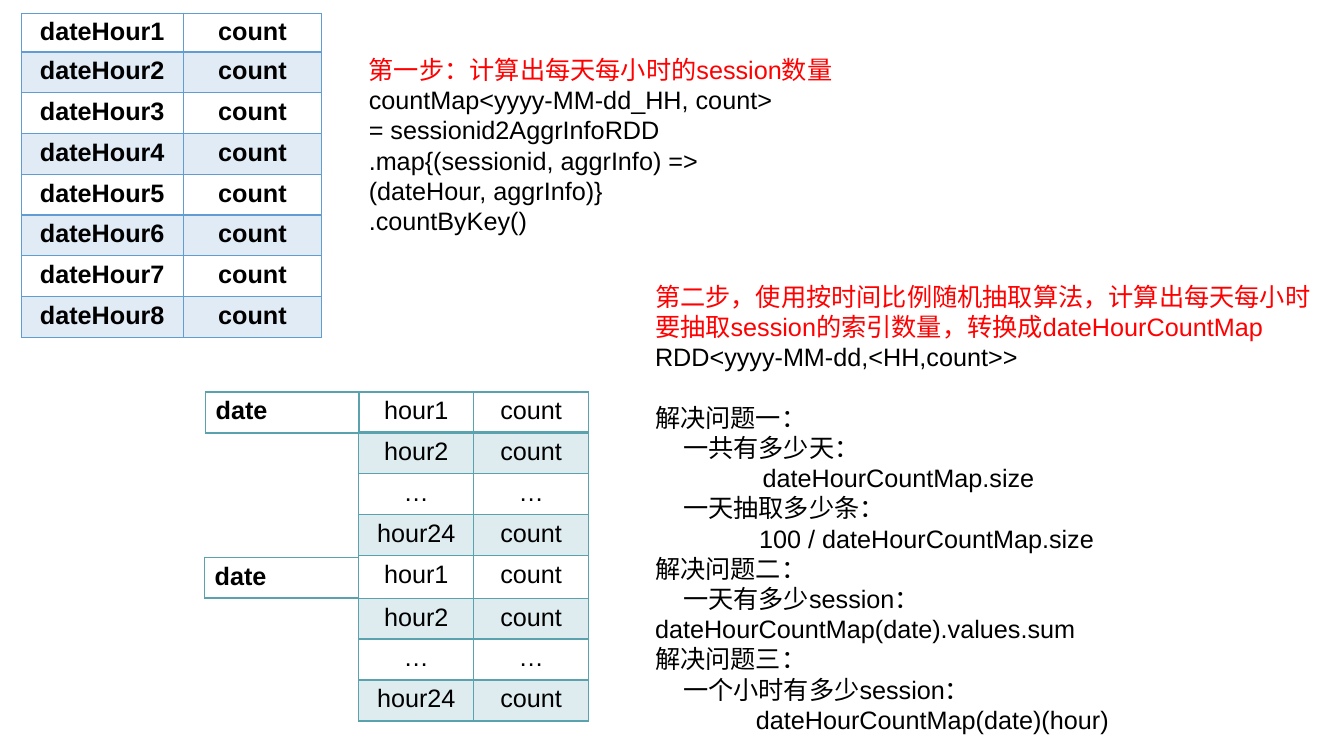
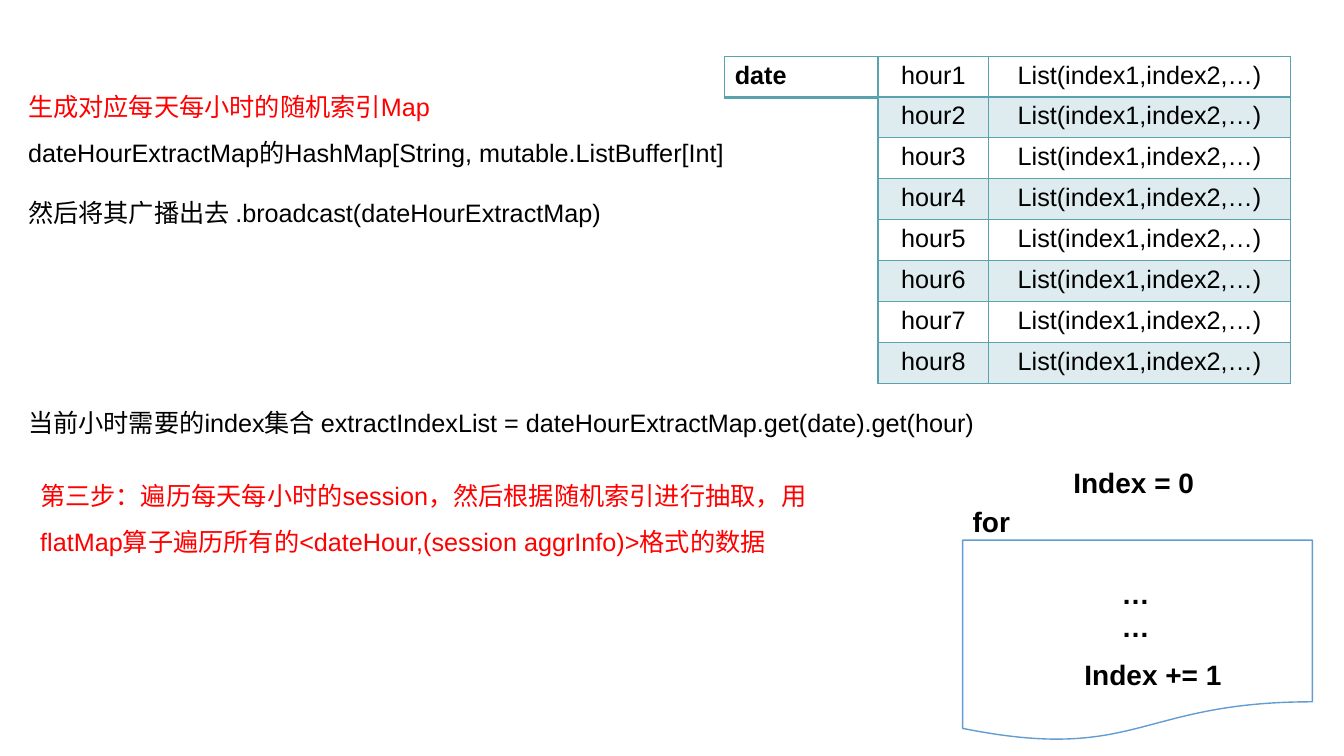
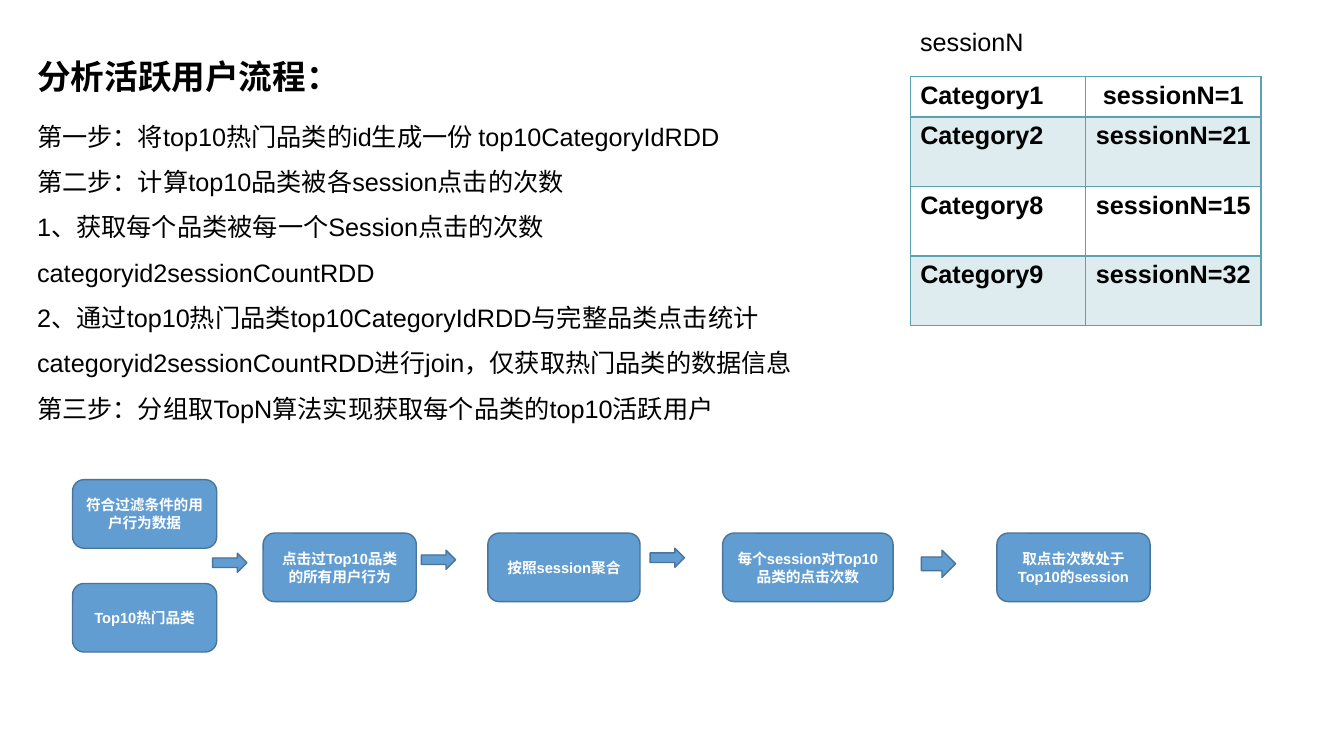
from dataclasses import dataclass

from lxml.etree import SubElement
from pptx import Presentation
from pptx.dml.color import RGBColor
from pptx.enum.shapes import MSO_SHAPE as Preset
from pptx.enum.text import MSO_ANCHOR as Anchor, MSO_AUTO_SIZE as AutoSize, PP_ALIGN as Align
from pptx.oxml.ns import qn
from pptx.util import Emu, Inches, Pt

COLUMNS, ROWS = 80, 45
TITLE_ONLY, BLANK = 5, 6


@dataclass(frozen=True)
class Theme:
    font: str = "Arial"
    ink: str = "000000"
    paper: str = "FFFFFF"
    accent: str = "FF0000"
    blue: str = "629DD1"
    blue_tint: str = "E0EBF6"
    blue_edge: str = "49749B"
    teal: str = "5AA2AE"
    teal_tint: str = "DEECEF"
    title: float = 24
    code: float = 20
    body: float = 18
    label: float = 10.5
    thin: float = 1
    heavy: float = 2
    blank_line: float = 21.5


THEME = Theme()
RED = {"color": THEME.accent}
WIDE = {"line_spacing": 1.5}
GAP = {"space_before": Pt(THEME.blank_line)}


class Painter:
    """Draws on the current slide; all lengths are cells of an 80 by 45 grid."""

    def __init__(self, deck):
        self.deck = deck
        self.cell = deck.slide_width / COLUMNS
        self.slide = None

    def size(self, cells):
        return Emu(round(cells * self.cell))

    def place(self, *cells):
        return [self.size(value) for value in cells]

    def new_slide(self, layout=BLANK):
        self.slide = self.deck.slides.add_slide(self.deck.slide_layouts[layout])

    def style(self, para, size=THEME.body, color=THEME.ink, bold=False, indent=0, **spacing):
        if indent:
            para._p.get_or_add_pPr().set("marL", str(self.size(indent)))
        for name, value in spacing.items():
            setattr(para, name, value)
        font = para.font
        formats = {"name": THEME.font, "size": Pt(size), "bold": bold}
        for name, value in formats.items():
            setattr(font, name, value)
        font.color.rgb = RGBColor.from_string(color)

    def fill_text(self, frame, lines, **common):
        """Write lines, each a string or a pair of string and paragraph formats."""
        frame.word_wrap = True
        for index, line in enumerate(lines):
            text, formats = (line, {}) if isinstance(line, str) else line
            para = frame.paragraphs[0] if index == 0 else frame.add_paragraph()
            para.text = text
            self.style(para, **{**common, **formats})

    def title(self, text, *spot):
        box = self.slide.shapes.title
        box.left, box.top, box.width, box.height = self.place(*spot)
        frame = box.text_frame
        frame.auto_size, frame.vertical_anchor = AutoSize.NONE, Anchor.TOP
        self.fill_text(frame, [text], size=THEME.title, bold=True, alignment=Align.LEFT)

    def text(self, lines, *spot, **common):
        box = self.slide.shapes.add_textbox(*self.place(*spot))
        self.fill_text(box.text_frame, lines, **common)

    def shape(self, preset, *spot, fill=THEME.blue, edge=THEME.blue_edge, label=""):
        shape = self.slide.shapes.add_shape(preset, *self.place(*spot))
        shape.shadow.inherit = False
        shape.fill.solid()
        shape.fill.fore_color.rgb = RGBColor.from_string(fill)
        shape.line.color.rgb = RGBColor.from_string(edge)
        shape.line.width = Pt(THEME.thin)
        if label:
            shape.text_frame.vertical_anchor = Anchor.MIDDLE
            self.fill_text(shape.text_frame, [label], size=THEME.label, bold=True,
                           color=THEME.paper, alignment=Align.CENTER)

    def borders(self, cell, color, row):
        """Rule all four sides, with a heavier rule below the first row."""
        top = THEME.heavy if row == 1 else THEME.thin
        bottom = THEME.heavy if row == 0 else THEME.thin
        sides = {"lnL": THEME.thin, "lnR": THEME.thin, "lnT": top, "lnB": bottom}
        properties = cell._tc.get_or_add_tcPr()
        for side, width in sides.items():
            line = SubElement(properties, qn(f"a:{side}"), w=str(Pt(width)))
            solid = SubElement(line, qn("a:solidFill"))
            SubElement(solid, qn("a:srgbClr"), val=color)

    def table(self, rows, left, top, widths, heights, line=THEME.teal, tint=THEME.teal_tint,
              bold=False, left_columns=()):
        spot = self.place(left, top, sum(widths), sum(heights))
        table = self.slide.shapes.add_table(len(rows), len(widths), *spot).table
        table.first_row = table.horz_banding = False
        for column, width in zip(table.columns, widths):
            column.width = self.size(width)
        for row, height in zip(table.rows, heights):
            row.height = self.size(height)
        for r, texts in enumerate(rows):
            for c, text in enumerate(texts):
                cell = table.cell(r, c)
                self.borders(cell, line, r)
                if r % 2:
                    cell.fill.solid()
                    cell.fill.fore_color.rgb = RGBColor.from_string(tint)
                else:
                    cell.fill.background()
                align = Align.LEFT if c in left_columns else Align.CENTER
                if align == Align.CENTER:
                    cell.margin_left = cell.margin_right = Inches(0.05)
                self.fill_text(cell.text_frame, [text], bold=bold, alignment=align)

    def date_cell(self, left, top):
        self.table([["date"]], left, top, [9.14], [2.44], bold=True, left_columns=[0])


def draw_count_slide(painter):
    painter.new_slide()
    painter.table([[f"dateHour{n}", "count"] for n in range(1, 9)], 1.26, 0.78,
                  [9.66, 8.22], [2.31] + [2.43] * 7,
                  line=THEME.blue, tint=THEME.blue_tint, bold=True)
    day = [["hour1", "count"], ["hour2", "count"], ["…", "…"], ["hour24", "count"]]
    painter.table(day * 2, 21.36, 23.34, [6.84] * 2, [2.4] + [2.44] * 3 + [2.56] + [2.44] * 3)
    painter.date_cell(12.24, 23.34)
    painter.date_cell(12.18, 33.18)
    step, code = {"indent": 1.67}, {"indent": 6.2}
    painter.text([
        ("第二步，使用按时间比例随机抽取算法，计算出每天每小时要抽取session的索引数量，"
         "转换成dateHourCountMap", RED),
        "RDD<yyyy-MM-dd,<HH,count>>",
        ("解决问题一：", GAP),
        ("一共有多少天：", step),
        ("dateHourCountMap.size", {"indent": 6.4}),
        ("一天抽取多少条：", step),
        ("100 / dateHourCountMap.size", code),
        "解决问题二：",
        ("一天有多少session：", step),
        "dateHourCountMap(date).values.sum",
        "解决问题三：",
        ("一个小时有多少session：", step),
        ("dateHourCountMap(date)(hour)", {"indent": 6}),
    ], 38.4, 16.44, 40.56, 28)
    painter.text([
        ("第一步：计算出每天每小时的session数量", RED),
        "countMap<yyyy-MM-dd_HH, count>",
        "= sessionid2AggrInfoRDD",
        ".map{(sessionid, aggrInfo) =>",
        "(dateHour, aggrInfo)}",
        ".countByKey()",
    ], 21.36, 2.94, 30.78, 11.52)


def draw_index_slide(painter):
    painter.new_slide()
    painter.table([[f"hour{n}", "List(index1,index2,…)"] for n in range(1, 9)],
                  52.26, 3.36, [6.6, 17.94], [2.4] + [2.44] * 7)
    painter.date_cell(43.14, 3.36)
    painter.text([
        ("生成对应每天每小时的随机索引Map", RED),
        ("dateHourExtractMap的HashMap[String, mutable.ListBuffer[Int]", WIDE),
        ("然后将其广播出去 .broadcast(dateHourExtractMap)", GAP),
    ], 1.08, 5.16, 64.56, 8.76)
    painter.text(["第三步：遍历每天每小时的session，然后根据随机索引进行抽取，用flatMap算子遍历所有的"
                  "<dateHour,(session aggrInfo)>格式的数据"],
                 1.8, 27.42, 51, 6.06, **RED, **WIDE)
    painter.text(["当前小时需要的index集合 extractIndexList = dateHourExtractMap.get(date).get(hour)"],
                 1.08, 23.94, 65.58, 2.4)
    painter.shape(Preset.FLOWCHART_DOCUMENT, 57.3, 32.16, 20.82, 12,
                  fill=THEME.paper, edge=THEME.blue)
    loop_parts = [
        (["for"], 57.3, 29.76, 4.68),
        (["Index = 0"], 63.3, 27.42, 9.5),
        (["Index += 1"], 63.96, 38.88, 10.5),
        (["…", "…"], 66.18, 34.02, 4.14),
    ]
    for lines, left, top, width in loop_parts:
        painter.text(lines, left, top, width, 2.64 * len(lines), size=THEME.code, bold=True)


def draw_active_user_slide(painter):
    painter.new_slide(TITLE_ONLY)
    painter.title("分析活跃用户流程：", 1.62, 3, 24, 3)
    box_height, flow_top = 4.08, 31.74
    boxes = [
        ("符合过滤条件的用户行为数据", 4.32, 28.56, 8.58),
        ("Top10热门品类", 4.32, 34.74, 8.58),
        ("点击过Top10品类的所有用户行为", 15.66, flow_top, 9.12),
        ("按照session聚合", 29.04, flow_top, 9.06),
        ("每个session对Top10品类的点击次数", 43.02, flow_top, 10.14),
        ("取点击次数处于Top10的session", 59.34, flow_top, 9.12),
    ]
    for label, left, top, width in boxes:
        painter.shape(Preset.ROUNDED_RECTANGLE, left, top, width, box_height, label=label)
    arrows = [(12.66, 32.94, 1.14), (25.08, 32.76, 1.14), (38.7, 32.64, 1.14), (54.84, 32.76, 1.62)]
    for left, top, height in arrows:
        painter.shape(Preset.RIGHT_ARROW, left, top, 2.04, height)
    painter.text([
        "第一步：将top10热门品类的id生成一份 top10CategoryIdRDD",
        "第二步：计算top10品类被各session点击的次数",
        "1、获取每个品类被每一个Session点击的次数 categoryid2sessionCountRDD",
        "2、通过top10热门品类top10CategoryIdRDD与完整品类点击统计"
        "categoryid2sessionCountRDD进行join，仅获取热门品类的数据信息",
        "第三步：分组取TopN算法实现获取每个品类的top10活跃用户",
    ], 1.62, 6, 49.2, 19.68, **WIDE)
    counts = {1: 1, 2: 21, 8: 15, 9: 32}
    painter.table([[f"Category{n}", f"sessionN={count}"] for n, count in counts.items()],
                  54.18, 4.56, [10.44] * 2, [2.4] + [4.14] * 3, bold=True, left_columns=[0])
    painter.text(["sessionN"], 54.18, 1.26, 8.94, 2.4)


def main():
    deck = Presentation()
    deck.slide_width, deck.slide_height = Inches(13.33), Inches(7.5)
    painter = Painter(deck)
    for draw in (draw_count_slide, draw_index_slide, draw_active_user_slide):
        draw(painter)
    deck.save("out.pptx")


if __name__ == "__main__":
    main()
